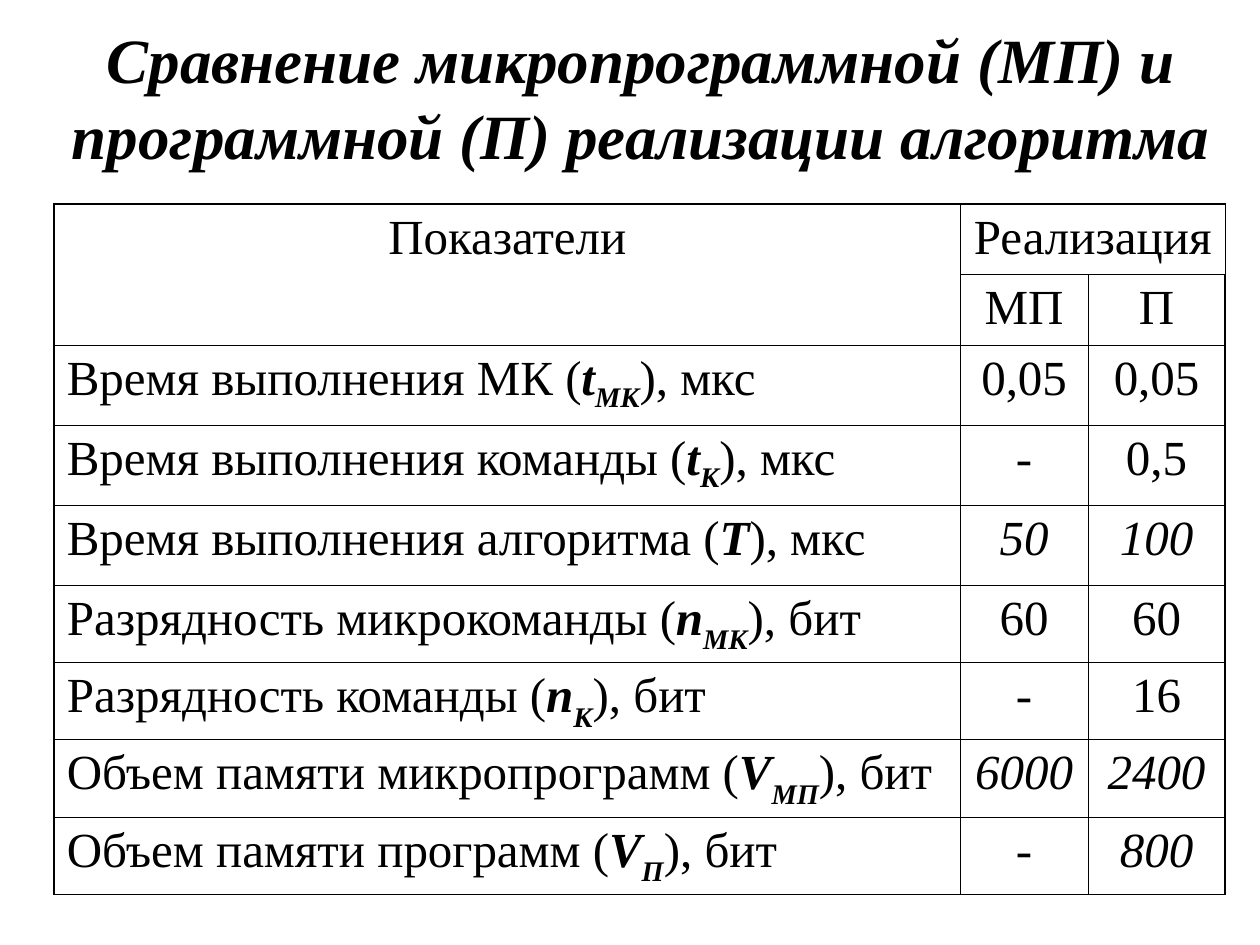
import dataclasses

import lxml.etree
import pptx
import pptx.dml.color
import pptx.enum.text
import pptx.oxml.ns
import pptx.util

Pt = pptx.util.Pt
CENTER = pptx.enum.text.PP_ALIGN.CENTER
LEFT = pptx.enum.text.PP_ALIGN.LEFT


@dataclasses.dataclass(frozen=True)
class Theme:
    font: str = "Times New Roman"
    ink: str = "000000"
    title_size: int = 36
    body_size: int = 28
    thin: float = 0.45
    thick: float = 1.08


THEME = Theme()

TITLE = "Сравнение микропрограммной (МП) и программной (П) реализации алгоритма"
HEADINGS = [(0, 0, "Показатели"), (0, 1, "Реализация"), (1, 1, "МП"), (1, 2, "П")]
INDICATORS = [
    ("Время выполнения МК", "t", "МК", "мкс", ("0,05", "0,05"), False),
    ("Время выполнения команды", "t", "К", "мкс", ("-", "0,5"), False),
    ("Время выполнения алгоритма", "T", "", "мкс", ("50", "100"), True),
    ("Разрядность микрокоманды", "n", "МК", "бит", ("60", "60"), False),
    ("Разрядность команды", "n", "К", "бит", ("-", "16"), False),
    ("Объем памяти микропрограмм", "V", "МП", "бит", ("6000", "2400"), True),
    ("Объем памяти программ", "V", "П", "бит", ("-", "800"), True),
]
SUBSCRIPT = {"мкс": -25, "бит": -30}
COLUMN_WIDTHS = [517.7, 73, 78.4]
ROW_HEIGHTS = [40.3] * 2 + [45.7] * 3 + [44.2] * 4


def add_text(para, text, size=THEME.body_size, bold=False, italic=False, baseline=0, align=LEFT):
    para.alignment = align
    span = para.add_run()
    span.text = text
    span.font.name = THEME.font
    span.font.size = Pt(size)
    span.font.bold = bold
    span.font.italic = italic
    span.font.color.rgb = pptx.dml.color.RGBColor.from_string(THEME.ink)
    if baseline:
        span.font._element.set("baseline", str(baseline * 1000))


def add_borders(cell, widths):
    properties = cell._tc.get_or_add_tcPr()
    qn = pptx.oxml.ns.qn
    for index, (side, width) in enumerate(widths.items()):
        line = lxml.etree.Element(qn(f"a:ln{side}"), w=str(Pt(width)))
        fill = lxml.etree.SubElement(line, qn("a:solidFill"))
        lxml.etree.SubElement(fill, qn("a:srgbClr"), val=THEME.ink)
        properties.insert(index, line)


def add_title(page):
    box = page.shapes.add_textbox(Pt(31.7), Pt(10), Pt(669), Pt(90))
    box.text_frame.word_wrap = True
    box.text_frame.vertical_anchor = pptx.enum.text.MSO_ANCHOR.MIDDLE
    add_text(box.text_frame.paragraphs[0], TITLE, size=THEME.title_size,
             bold=True, italic=True, align=CENTER)


def add_comparison(page):
    row_count, column_count = len(ROW_HEIGHTS), len(COLUMN_WIDTHS)
    table = page.shapes.add_table(
        row_count, column_count, Pt(31), Pt(116.7),
        Pt(sum(COLUMN_WIDTHS)), Pt(sum(ROW_HEIGHTS))).table
    table.first_row = False
    table.horz_banding = False
    for column, width in zip(table.columns, COLUMN_WIDTHS):
        column.width = Pt(width)
    for row, height in zip(table.rows, ROW_HEIGHTS):
        row.height = Pt(height)

    for row in range(row_count):
        for column in range(column_count):
            cell = table.cell(row, column)
            cell.fill.background()
            outer = {"L": column == 0, "R": column == column_count - 1,
                     "T": row == 0, "B": row == row_count - 1}
            add_borders(cell, {side: THEME.thick if edge else THEME.thin
                               for side, edge in outer.items()})
    table.cell(0, 0).merge(table.cell(1, 0))
    table.cell(0, 1).merge(table.cell(0, 2))

    for row, column, text in HEADINGS:
        add_text(table.cell(row, column).text_frame.paragraphs[0], text, align=CENTER)
    for row, (name, symbol, index, unit, values, italic) in enumerate(INDICATORS, 2):
        para = table.cell(row, 0).text_frame.paragraphs[0]
        add_text(para, f"{name} (")
        add_text(para, symbol, bold=True, italic=True)
        if index:
            add_text(para, index, bold=True, italic=True, baseline=SUBSCRIPT[unit])
        add_text(para, f"), {unit}")
        for column, value in enumerate(values, 1):
            add_text(table.cell(row, column).text_frame.paragraphs[0], value,
                     italic=italic, align=CENTER)


def main():
    deck = pptx.Presentation()
    deck.slide_width, deck.slide_height = Pt(720), Pt(540)
    page = deck.slides.add_slide(deck.slide_layouts[6])
    add_comparison(page)
    add_title(page)
    deck.save("out.pptx")


if __name__ == "__main__":
    main()
